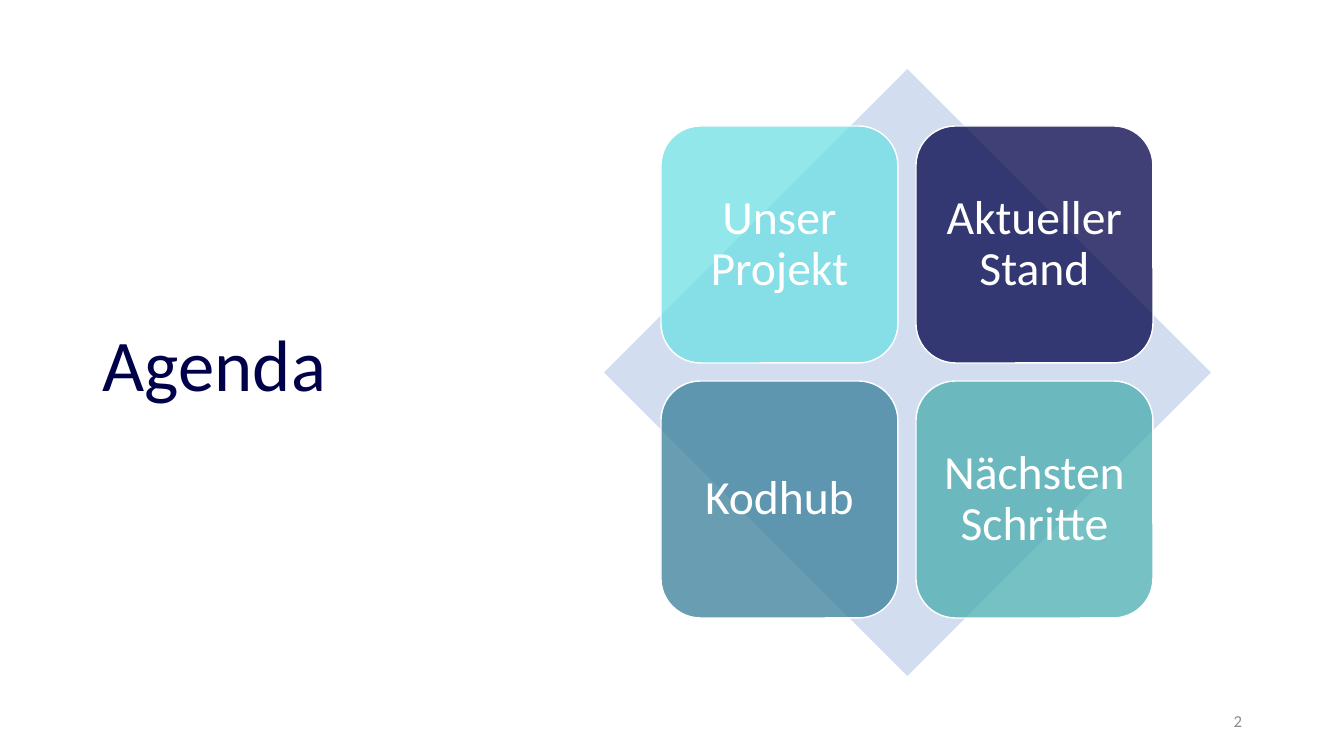
from lxml import etree
from pptx import Presentation
from pptx import util as u
from pptx.dml.color import RGBColor
from pptx.enum import shapes, text
from pptx.oxml.ns import qn

EMU_PER_PX = 914400 / 100.8
COLORS = {
    "navy": "000149",
    "aqua": "6DDFE4",
    "steel": "377E99",
    "teal": "49ADAF",
    "pale": "D2DEEF",
    "white": "FFFFFF",
    "gray": "8C8C8C",
}


def px(length):
    return u.Emu(round(length * EMU_PER_PX))


def rgb(name):
    return RGBColor.from_string(COLORS[name])


class SlideBuilder:
    font = "Calibri"

    def __init__(self, slide):
        self.slide = slide

    def set_words(self, frame, words, size, color, align, spacing=1.0):
        frame.word_wrap = True
        frame.vertical_anchor = text.MSO_ANCHOR.MIDDLE
        line = frame.paragraphs[0]
        line.text = words
        line.alignment = align
        line.line_spacing = spacing
        line.font.name = self.font
        line.font.size = u.Pt(size)
        line.font.color.rgb = rgb(color)

    def label(self, box, words, size, color, align, spacing=1.0):
        area = self.slide.shapes.add_textbox(*map(px, box))
        self.set_words(area.text_frame, words, size, color, align, spacing)

    def block(self, kind, box, color):
        block = self.slide.shapes.add_shape(kind, *map(px, box))
        block.shadow.inherit = False
        block.fill.solid()
        block.fill.fore_color.rgb = rgb(color)
        block.line.fill.background()
        return block

    def tile(self, box, words, color, opacity=75, inset=14):
        tile = self.block(shapes.MSO_SHAPE.ROUNDED_RECTANGLE, box, color)
        tile.line.color.rgb = rgb("white")
        tile.line.width = u.Pt(1)
        fill_color = tile.element.spPr.find(qn("a:solidFill"))[0]
        etree.SubElement(fill_color, qn("a:alpha"), val=str(opacity * 1000))
        frame = tile.text_frame
        frame.margin_left = frame.margin_right = px(inset)
        frame.margin_top = frame.margin_bottom = px(inset)
        self.set_words(frame, words, 34, "white", text.PP_ALIGN.CENTER, 0.9)


def main():
    deck = Presentation()
    deck.slide_width, deck.slide_height = px(1344), px(756)
    agenda = SlideBuilder(deck.slides.add_slide(deck.slide_layouts[6]))

    # Title and slide number
    agenda.label((93, 61, 372, 614), "Agenda", 52, "navy", text.PP_ALIGN.LEFT, 0.9)
    agenda.label((950, 701, 302, 40), "2", 12, "gray", text.PP_ALIGN.RIGHT)

    # Diamond behind the topics
    agenda.block(shapes.MSO_SHAPE.DIAMOND, (604, 69, 607, 607), "pale")

    # Two-by-two grid of topics
    topics = [
        ("Unser Projekt", "aqua"),
        ("Aktueller Stand", "navy"),
        ("Kodhub", "steel"),
        ("Nächsten Schritte", "teal"),
    ]
    left, top, side, gap = 661, 126, 237, 18
    for index, (topic, color) in enumerate(topics):
        row, column = divmod(index, 2)
        x = left + column * (side + gap)
        y = top + row * (side + gap)
        agenda.tile((x, y, side, side), topic, color)

    deck.save("out.pptx")


if __name__ == "__main__":
    main()
